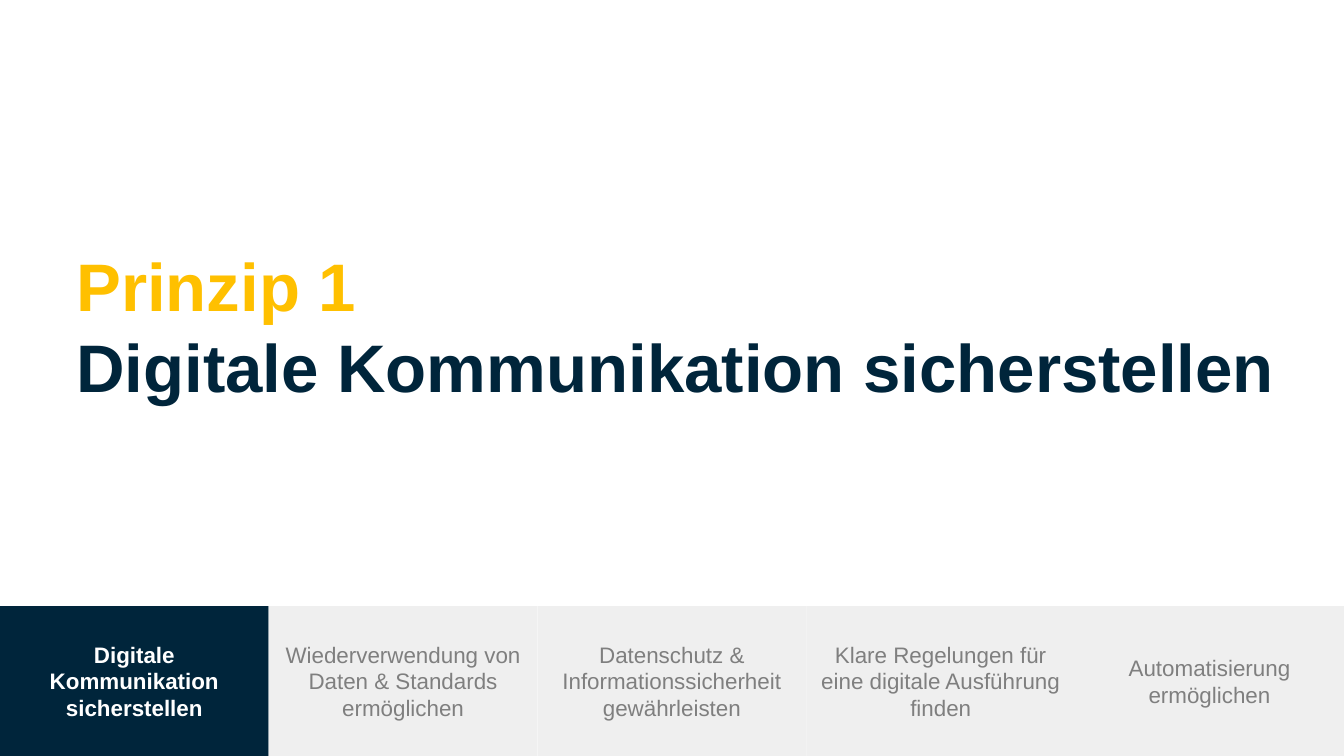
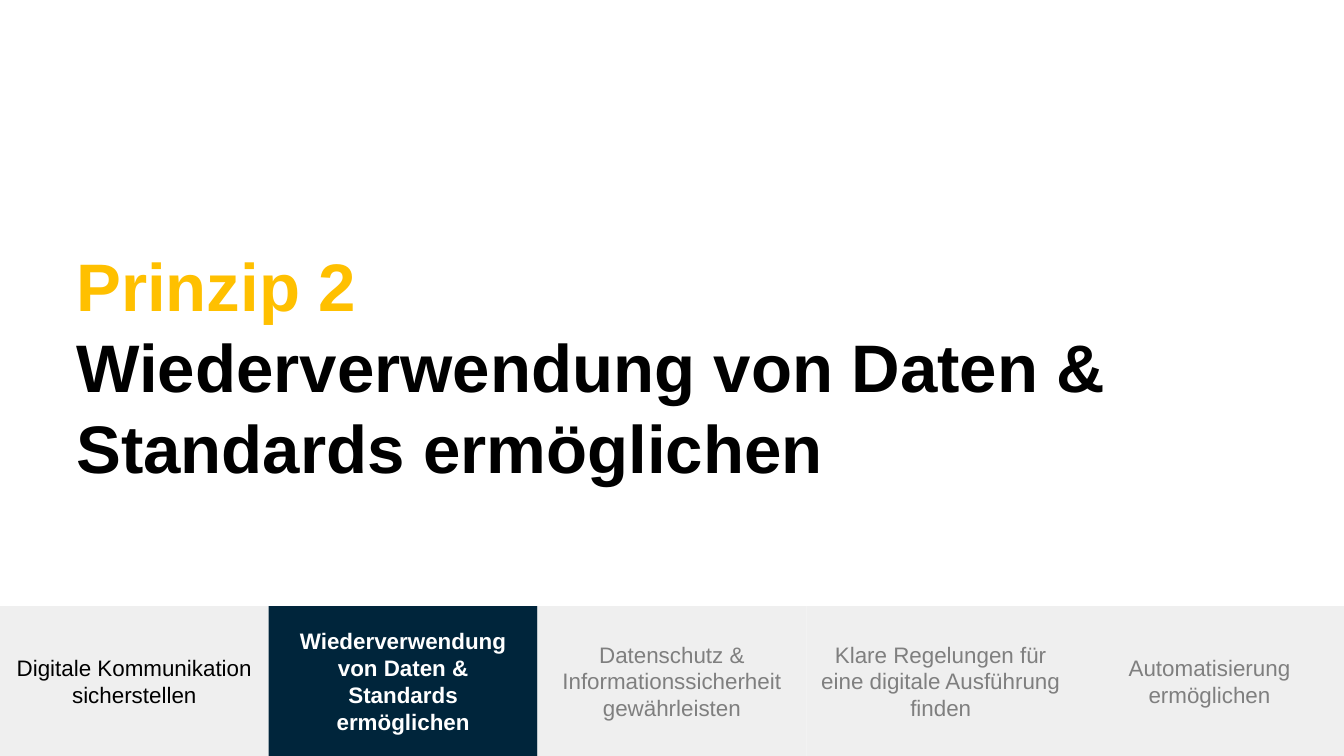
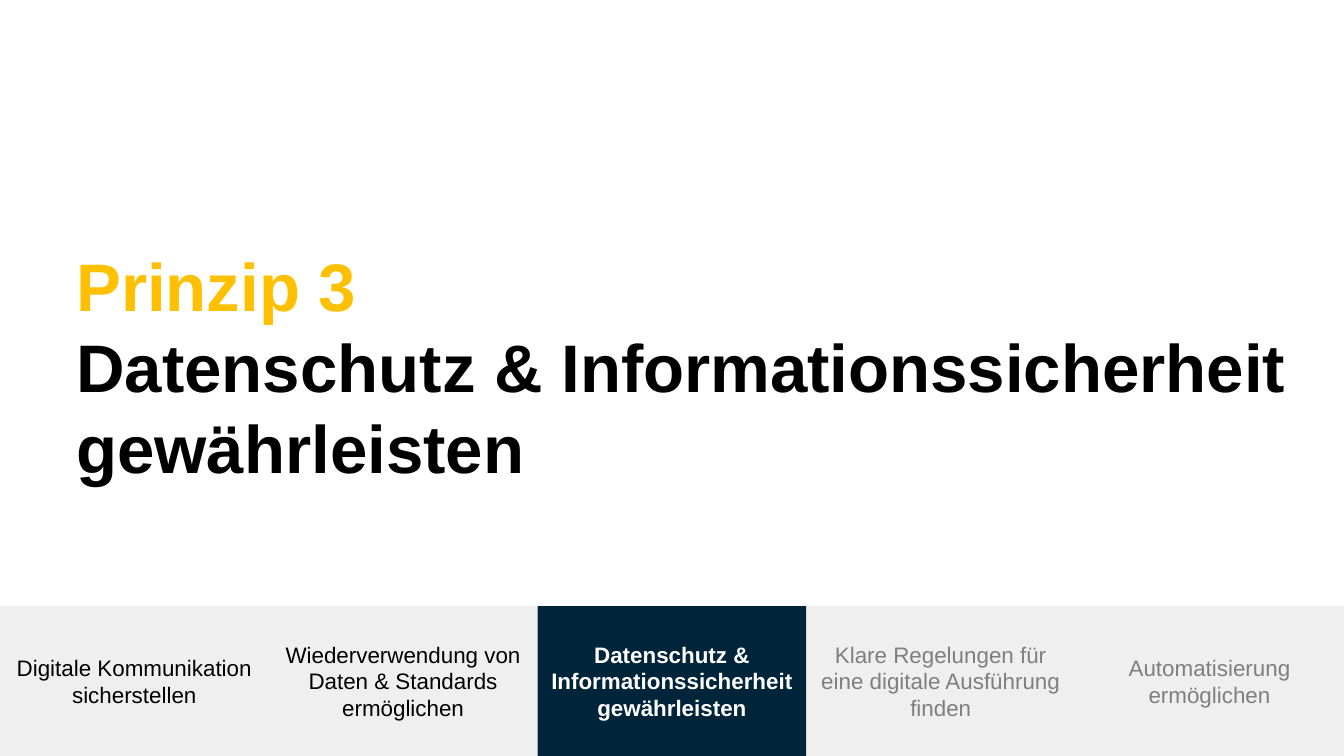
import pptx
import pptx.util
from pptx.dml.color import RGBColor
from pptx.enum.shapes import MSO_SHAPE
from pptx.enum.text import MSO_ANCHOR, MSO_AUTO_SIZE, PP_ALIGN

PRINCIPLES = [
    "Digitale Kommunikation sicherstellen",
    "Wiederverwendung von Daten & Standards ermöglichen",
    "Datenschutz & Informationssicherheit gewährleisten",
    "Klare Regelungen für eine digitale Ausführung finden",
    "Automatisierung ermöglichen",
]

NAVY = RGBColor(0x00, 0x25, 0x3B)
AMBER = RGBColor(0xFF, 0xC0, 0x00)
LIGHT = RGBColor(0xEF, 0xEF, 0xEF)
GREY = RGBColor(0x7F, 0x7F, 0x7F)
BLACK = RGBColor(0x00, 0x00, 0x00)
WHITE = RGBColor(0xFF, 0xFF, 0xFF)

# Each slide: number of the principle, title colour, title height in inches
SLIDES = [(1, NAVY, 1.41), (2, BLACK, 2.02), (3, BLACK, 2.02)]

WIDTH = pptx.util.Inches(10)
HEIGHT = WIDTH * 9 // 16
TITLE_LEFT, TITLE_TOP = pptx.util.Inches(0.47), pptx.util.Inches(1.72)
BAND_TOP = pptx.util.Inches(4.51)
STEP_WIDTH = WIDTH // len(PRINCIPLES)
INSET = pptx.util.Inches(0.1)

FRAME = dict(word_wrap=True, margin_left=INSET, margin_right=INSET,
             margin_top=INSET, margin_bottom=INSET)
TITLE_FRAME = dict(FRAME, vertical_anchor=MSO_ANCHOR.TOP,
                   auto_size=MSO_AUTO_SIZE.SHAPE_TO_FIT_TEXT)
STEP_FRAME = dict(FRAME, vertical_anchor=MSO_ANCHOR.MIDDLE)
TITLE_FONT = dict(name="Arial", size=pptx.util.Pt(36), bold=True)
STEP_FONT = dict(name="Arial", size=pptx.util.Pt(12))


def set_format(target, values):
    for name, value in values.items():
        setattr(target, name, value)


def write(p, text, font, color, align):
    p.alignment = align
    r = p.add_run()
    r.text = text
    set_format(r.font, font)
    r.font.color.rgb = color


def add_title(s, number, color, height):
    box = s.shapes.add_textbox(TITLE_LEFT, TITLE_TOP, WIDTH - TITLE_LEFT,
                               pptx.util.Inches(height))
    tf = box.text_frame
    set_format(tf, TITLE_FRAME)
    write(tf.paragraphs[0], f"Prinzip {number}", TITLE_FONT, AMBER, PP_ALIGN.LEFT)
    write(tf.add_paragraph(), PRINCIPLES[number - 1], TITLE_FONT, color, PP_ALIGN.LEFT)


def add_progress_band(s, current):
    """Steps before the current one are black, those still to come grey."""
    for i, text in enumerate(PRINCIPLES):
        step = i + 1
        active = step == current
        sp = s.shapes.add_shape(MSO_SHAPE.RECTANGLE, i * STEP_WIDTH, BAND_TOP,
                                STEP_WIDTH, HEIGHT - BAND_TOP)
        sp.shadow.inherit = False
        sp.fill.solid()
        sp.fill.fore_color.rgb = NAVY if active else LIGHT
        sp.line.fill.background()
        set_format(sp.text_frame, STEP_FRAME)
        color = WHITE if active else BLACK if step < current else GREY
        write(sp.text_frame.paragraphs[0], text, dict(STEP_FONT, bold=active),
              color, PP_ALIGN.CENTER)


def main():
    prs = pptx.Presentation()
    prs.slide_width, prs.slide_height = WIDTH, HEIGHT
    for number, color, height in SLIDES:
        s = prs.slides.add_slide(prs.slide_layouts[6])
        add_title(s, number, color, height)
        add_progress_band(s, number)
    prs.save("out.pptx")


if __name__ == "__main__":
    main()
